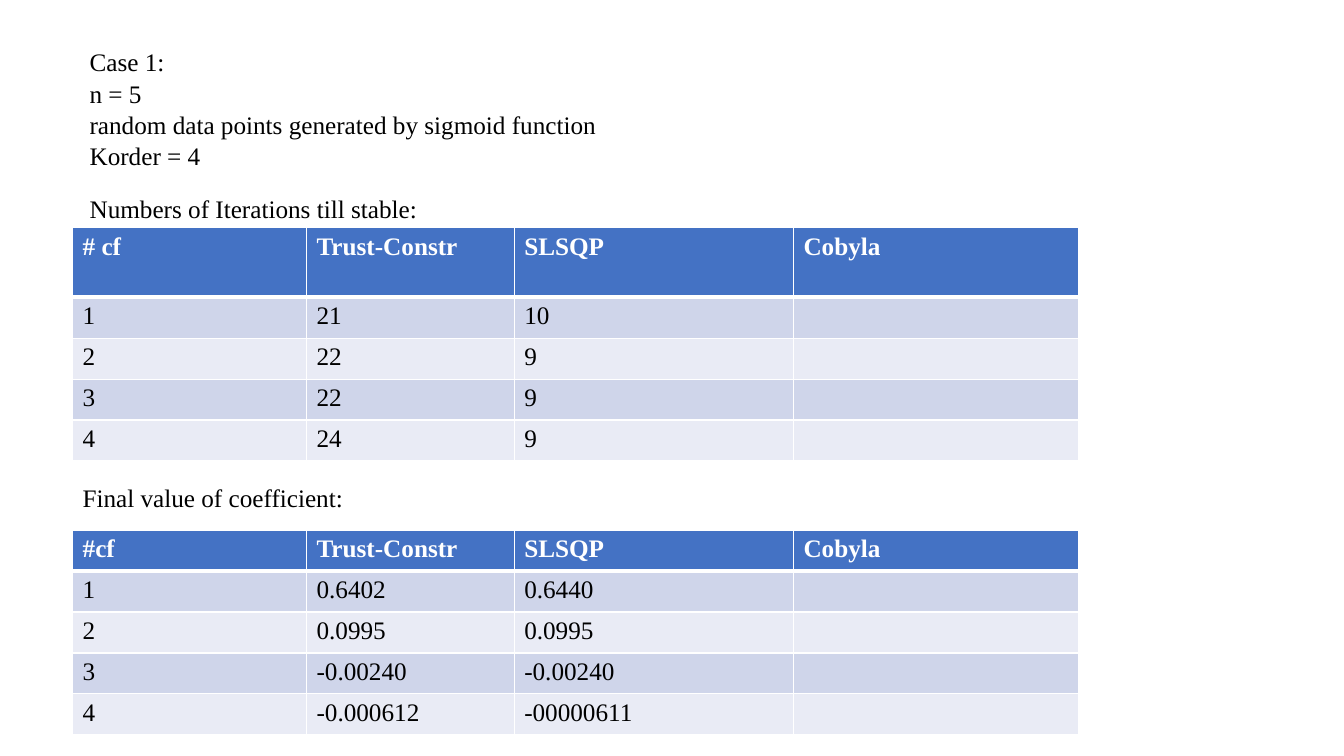
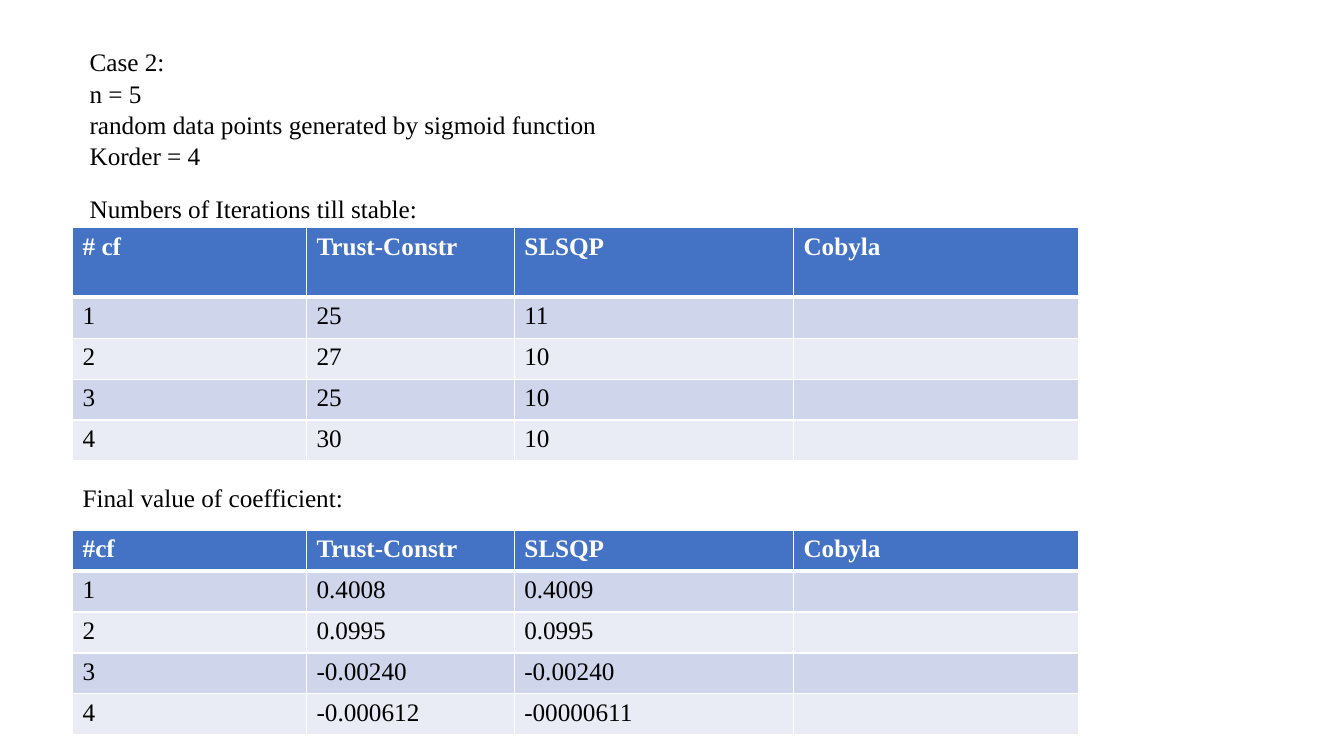
from dataclasses import dataclass

from lxml.etree import SubElement
from pptx import Presentation
from pptx.dml.color import RGBColor
from pptx.enum.text import MSO_AUTO_SIZE as AutoSize
from pptx.oxml.ns import qn
from pptx.util import Inches, Pt

FONT = "Times New Roman"
FONT_SIZE = 18
LINE_SPACING = 1.04
BLACK, WHITE = "000000", "FFFFFF"
HEADER_FILL = "4472C4"
BAND_FILLS = ("CFD5EA", "E9EBF5")
THIN, THICK = 1, 3

TABLE_LEFT = 0.72
TEXT_LEFT = 0.79
COLUMN_WIDTHS = (2.32, 2.06, 2.77, 2.83)
ROW_HEIGHT = 2.03 / 5
TALL_HEADER = 0.69
METHODS = ("Trust-Constr", "SLSQP", "Cobyla")


@dataclass(frozen=True)
class Case:
    """One experiment; each result pair holds the first two methods."""
    number: int
    iterations: tuple[tuple[str, str], ...]
    coefficients: tuple[tuple[str, str], ...]


SHARED_COEFFICIENTS = (
    ("0.0995", "0.0995"),
    ("-0.00240", "-0.00240"),
    ("-0.000612", "-00000611"),
)
CASES = (
    Case(1, (("21", "10"), ("22", "9"), ("22", "9"), ("24", "9")),
         (("0.6402", "0.6440"), *SHARED_COEFFICIENTS)),
    Case(2, (("25", "11"), ("27", "10"), ("25", "10"), ("30", "10")),
         (("0.4008", "0.4009"), *SHARED_COEFFICIENTS)),
)


def rgb(color: str) -> RGBColor:
    return RGBColor.from_string(color)


def format_spans(para, color: str, bold: bool = False) -> None:
    for span in para.runs:
        span.font.name = FONT
        span.font.size = Pt(FONT_SIZE)
        span.font.bold = bold
        span.font.color.rgb = rgb(color)


def add_text(slide, left: float, top: float, width: float, height: float,
             text: str) -> None:
    box = slide.shapes.add_textbox(
        Inches(left), Inches(top), Inches(width), Inches(height))
    frame = box.text_frame
    frame.word_wrap = True
    frame.auto_size = AutoSize.SHAPE_TO_FIT_TEXT
    frame.text = text
    for para in frame.paragraphs:
        para.line_spacing = LINE_SPACING
        format_spans(para, BLACK)


def add_borders(cell, top: int, bottom: int) -> None:
    """Draw white borders; call before the cell is filled."""
    properties = cell._tc.get_or_add_tcPr()
    for side, width in (("L", THIN), ("R", THIN), ("T", top), ("B", bottom)):
        line = SubElement(properties, qn(f"a:ln{side}"), w=str(Pt(width)))
        fill = SubElement(line, qn("a:solidFill"))
        SubElement(fill, qn("a:srgbClr"), val=WHITE)


def add_results(slide, top: float, header_height: float, corner: str,
                results: tuple[tuple[str, str], ...]) -> None:
    rows = [(corner, *METHODS)]
    rows += [(str(number), *pair, "") for number, pair in enumerate(results, 1)]
    heights = [header_height] + [ROW_HEIGHT] * len(results)
    table = slide.shapes.add_table(
        len(rows), len(COLUMN_WIDTHS), Inches(TABLE_LEFT), Inches(top),
        Inches(sum(COLUMN_WIDTHS)), Inches(sum(heights))).table
    for column, width in zip(table.columns, COLUMN_WIDTHS):
        column.width = Inches(width)
    for index, (values, height) in enumerate(zip(rows, heights)):
        table.rows[index].height = Inches(height)
        is_header = index == 0
        fill = HEADER_FILL if is_header else BAND_FILLS[(index - 1) % 2]
        for cell, value in zip(table.rows[index].cells, values):
            add_borders(cell, THICK if index == 1 else THIN,
                        THICK if is_header else THIN)
            cell.fill.solid()
            cell.fill.fore_color.rgb = rgb(fill)
            if value:
                cell.text_frame.text = value
                format_spans(cell.text_frame.paragraphs[0],
                             WHITE if is_header else BLACK, is_header)


def add_case_slide(deck, case: Case) -> None:
    slide = deck.slides.add_slide(deck.slide_layouts[6])
    add_text(slide, TEXT_LEFT, 0.4, 8.92, 1.31,
             f"Case {case.number}:\nn = 5\n"
             "random data points generated by sigmoid function\nKorder = 4")
    add_results(slide, 2.26, TALL_HEADER, "# cf", case.iterations)
    add_text(slide, TEXT_LEFT, 1.86, 3.92, 0.4,
             "Numbers of Iterations till stable:")
    add_results(slide, 5.26, ROW_HEIGHT, "#cf", case.coefficients)
    add_text(slide, TABLE_LEFT, 4.72, 3.92, 0.4, "Final value of coefficient:")


def main() -> None:
    deck = Presentation()
    deck.slide_width, deck.slide_height = Inches(13.33), Inches(7.5)
    for case in CASES:
        add_case_slide(deck, case)
    deck.save("out.pptx")


if __name__ == "__main__":
    main()
